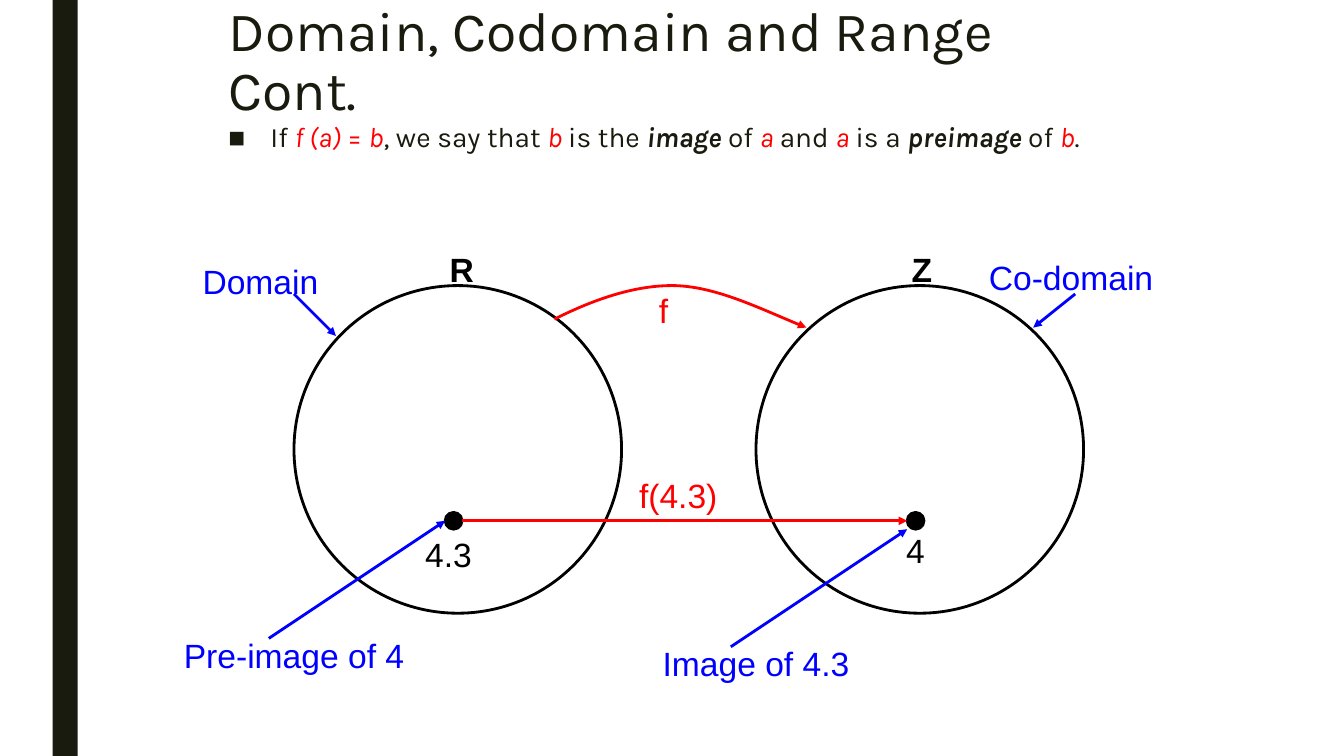
import pptx
import pptx.util
import pptx.dml.color
import pptx.enum.shapes
import pptx.enum.text
import pptx.oxml
import pptx.oxml.ns

# The slide is a grid of 160 columns by 90 rows, twelve to the inch
CELL = pptx.util.Inches(1) / 12
COLUMNS, ROWS = 160, 90
INK, BLACK, RED, BLUE = "191B0E", "000000", "FF0000", "0000FF"
CIRCLE, DOT = 39, 2
SHAPES = pptx.enum.shapes.MSO_SHAPE


def cells(*counts):
    return [pptx.util.Emu(round(count * CELL)) for count in counts]


def colour(hex_text):
    return pptx.dml.color.RGBColor.from_string(hex_text)


def element(tag, **attributes):
    node = pptx.oxml.parse_xml(f"<a:{tag} {pptx.oxml.ns.nsdecls('a')}/>")
    for key, value in attributes.items():
        node.set(key, value)
    return node


def style_line(part, hex_text, arrow=False):
    part.line.color.rgb = colour(hex_text)
    part.line.width = pptx.util.Pt(2)
    if arrow:
        part.line._get_or_add_ln().append(element("tailEnd", type="triangle"))


def add_run(paragraph, text, size, font, hex_text, bold=False, italic=False):
    run = paragraph.add_run()
    run.text = text
    run.font.size = pptx.util.Pt(size)
    run.font.name = font
    run.font.color.rgb = colour(hex_text)
    run.font.bold, run.font.italic = bold, italic


def place(placeholder, left, top, width, height):
    placeholder.left, placeholder.top, placeholder.width, placeholder.height = cells(
        left, top, width, height)
    placeholder.text_frame.word_wrap = True
    return placeholder.text_frame


def add_filled(slide, preset, box, fill=None, outline=None):
    part = slide.shapes.add_shape(preset, *cells(*box))
    part.shadow.inherit = False
    if fill:
        part.fill.solid()
        part.fill.fore_color.rgb = colour(fill)
    else:
        part.fill.background()
    if outline:
        style_line(part, outline)
    else:
        part.line.fill.background()


def add_label(slide, text, centre, top, width, hex_text, bold=False):
    box = slide.shapes.add_textbox(*cells(centre - width / 2, top, width, 6))
    box.text_frame.word_wrap = False
    paragraph = box.text_frame.paragraphs[0]
    paragraph.alignment = pptx.enum.text.PP_ALIGN.CENTER
    add_run(paragraph, text, 24, "Arial", hex_text, bold)


def add_arrow(slide, start, end, hex_text):
    arrow = slide.shapes.add_connector(
        pptx.enum.shapes.MSO_CONNECTOR.STRAIGHT, *cells(*start, *end))
    style_line(arrow, hex_text, arrow=True)
    arrow._element.spPr.append(element("effectLst"))


def add_curved_arrow(slide, start, controls, hex_text):
    builder = slide.shapes.build_freeform(*start, scale=CELL)
    builder.add_line_segments(controls, close=False)
    curve = builder.convert_to_shape()
    curve.shadow.inherit = False
    curve.fill.background()
    style_line(curve, hex_text, arrow=True)
    # Each three points become one Bezier segment
    steps = list(curve._element.iter(pptx.oxml.ns.qn("a:lnTo")))
    for first in range(0, len(steps), 3):
        bezier = element("cubicBezTo")
        steps[first].addprevious(bezier)
        for step in steps[first:first + 3]:
            bezier.append(step[0])
            step.getparent().remove(step)


def add_heading(slide):
    frame = place(slide.shapes.title, 26, 0, 108, 15)
    frame.vertical_anchor = pptx.enum.text.MSO_ANCHOR.MIDDLE
    heading = frame.paragraphs[0]
    heading.alignment = pptx.enum.text.PP_ALIGN.LEFT
    heading.line_spacing = 0.89
    add_run(heading, "Domain, Codomain and Range Cont.", 39.6, "Karla", INK)


def add_definition(slide):
    frame = place(slide.placeholders[1], 26, 14, 108, 59.4)
    definition = frame.paragraphs[0]
    definition.line_spacing = 0.94
    definition.space_before = pptx.util.Pt(0)
    definition.space_after = pptx.util.Pt(2)
    properties = definition._p.get_or_add_pPr()
    indent = cells(5)[0]
    properties.set("marL", str(indent))
    properties.set("indent", str(-indent))
    properties.append(element("buFont", typeface="Arial"))
    properties.append(element("buChar", char="■"))
    plain, symbol, term = (INK, False, False), (RED, False, True), (INK, True, True)
    for text, style in [
        ("If ", plain), ("f (a) ", symbol), ("= ", (RED, False, False)), ("b", symbol),
        (", we say that ", plain), ("b ", symbol), ("is the ", plain),
        ("image ", term), ("of ", plain), ("a ", symbol), ("and ", plain),
        ("a ", symbol), ("is a ", plain), ("preimage ", term), ("of ", plain),
        ("b", symbol), (".", plain),
    ]:
        add_run(definition, text, 20, "Karla", *style)


def add_mapping(slide):
    # Sets, their names and their elements
    for left, set_name, value, value_centre, value_top in [
        (35, "R", "4.3", 53.4, 63), (90, "Z", "4", 109, 62.5),
    ]:
        add_filled(slide, SHAPES.OVAL, (left, 34, CIRCLE, CIRCLE), outline=BLACK)
        add_filled(slide, SHAPES.OVAL, (left + 18, 61, DOT, DOT), BLACK, BLACK)
        add_label(slide, set_name, left + 19.6, 29, 4.5, BLACK, bold=True)
        add_label(slide, value, value_centre, value_top, 8, BLACK)

    # The function between the sets
    add_curved_arrow(slide, (66, 38), [(70.5, 35.9), (75, 33.85), (80, 34),
                                       (85, 34.2), (90.8, 37.2), (96, 39)], RED)
    add_label(slide, "f", 79, 33.9, 3.5, RED)
    add_arrow(slide, (55, 62), (108, 62), RED)
    add_label(slide, "f(4.3)", 80.75, 56, 11.8, RED)

    # Callouts
    for text, centre, top, width, start, end in [
        ("Domain", 31, 30.5, 16.3, (35, 35), (40, 40)),
        ("Co-domain", 127.5, 30, 22.2, (128, 35), (123, 39)),
        ("Pre-image of 4", 35, 75, 28.9, (32, 76), (53, 62)),
        ("Image of 4.3", 90, 76, 24.8, (87, 77), (108, 63)),
    ]:
        add_arrow(slide, start, end, BLUE)
        add_label(slide, text, centre, top, width, BLUE)


def main():
    deck = pptx.Presentation()
    deck.slide_width, deck.slide_height = cells(COLUMNS, ROWS)
    slide = deck.slides.add_slide(deck.slide_layouts[1])
    add_filled(slide, SHAPES.RECTANGLE, (6.25, 0, 3, ROWS), INK)
    add_heading(slide)
    add_definition(slide)
    add_mapping(slide)
    deck.save("out.pptx")


if __name__ == "__main__":
    main()
